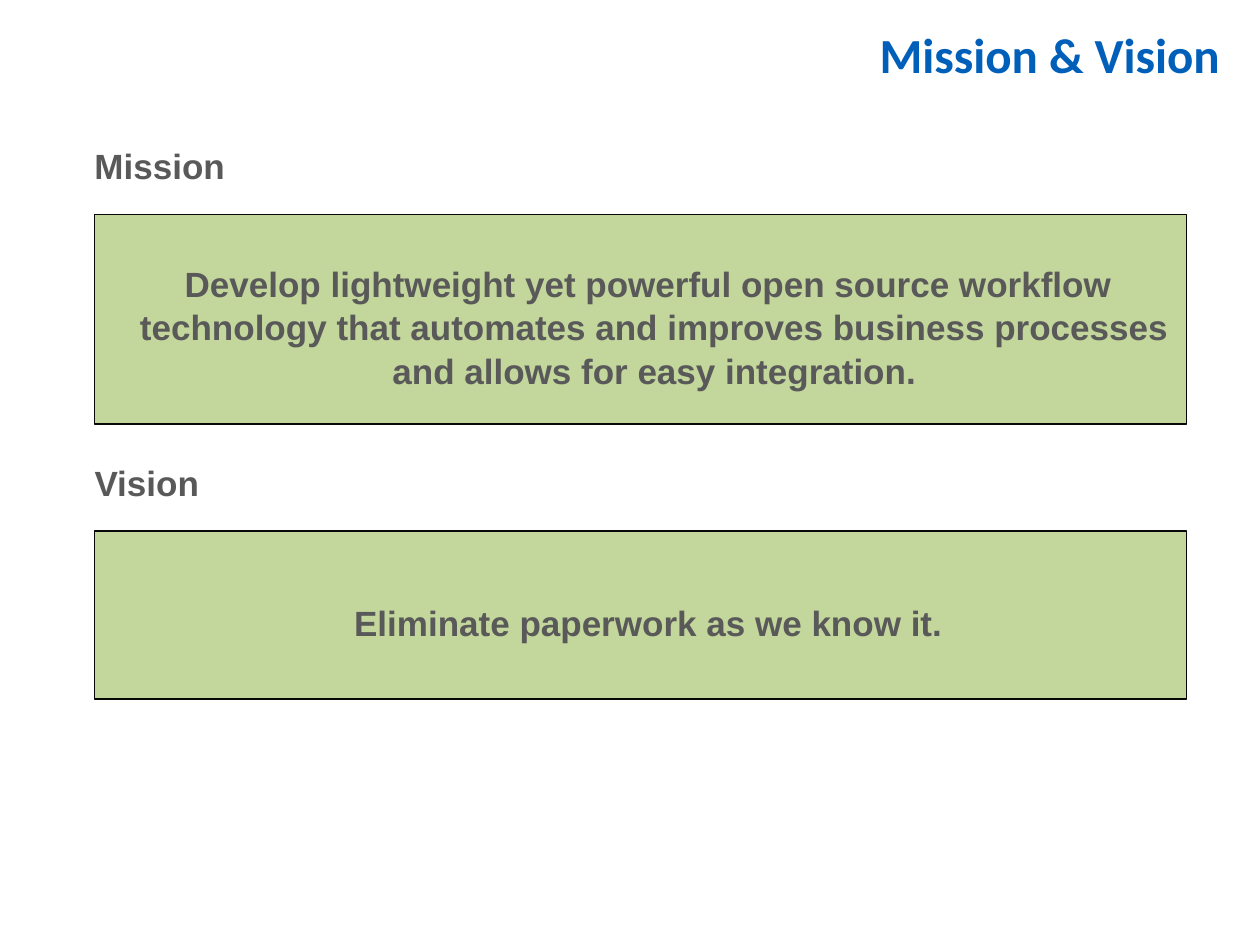
import pptx
import pptx.dml.color
import pptx.enum.shapes
import pptx.enum.text
import pptx.util

Pt = pptx.util.Pt
RGBColor = pptx.dml.color.RGBColor
Align = pptx.enum.text.PP_ALIGN
Anchor = pptx.enum.text.MSO_ANCHOR

BLUE = RGBColor(0x00, 0x5F, 0xB9)
GREY = RGBColor(0x59, 0x59, 0x59)
GREEN = RGBColor(0xC3, 0xD6, 0x9B)
BLACK = RGBColor(0x08, 0x08, 0x08)

LEFT = 54
PANEL_WIDTH = 624
HEADING_HEIGHT = 31.5
HEADING_GAP = 14


class StatementSlide:
    body_font = "Arial"
    body_size = 20

    def __init__(self, slide):
        self.slide = slide

    def add_text(self, shape, text, font, size, color, align, anchor, insets):
        """Fill a shape with one bold paragraph; insets are left, top, right, bottom."""
        frame = shape.text_frame
        frame.word_wrap = True
        frame.vertical_anchor = anchor
        (frame.margin_left, frame.margin_top,
         frame.margin_right, frame.margin_bottom) = map(Pt, insets)
        paragraph = frame.paragraphs[0]
        paragraph.alignment = align
        run = paragraph.add_run()
        run.text = text
        run.font.name = font
        run.font.size = Pt(size)
        run.font.bold = True
        run.font.color.rgb = color
        return paragraph

    def title(self, text):
        box = self.slide.shapes.add_textbox(Pt(318), Pt(6), Pt(386), Pt(49))
        self.add_text(box, text, "Calibri", 28, BLUE, Align.RIGHT, Anchor.MIDDLE,
                      (7.2, 3.6, 7.2, 3.6))

    def heading(self, text, top, width):
        box = self.slide.shapes.add_textbox(Pt(LEFT), Pt(top), Pt(width), Pt(HEADING_HEIGHT))
        paragraph = self.add_text(box, text, self.body_font, self.body_size, GREY,
                                  Align.LEFT, Anchor.BOTTOM, (0, 0, 0, 1.5))
        paragraph.line_spacing = 0.9

    def panel(self, text, top, height):
        panel = self.slide.shapes.add_shape(
            pptx.enum.shapes.MSO_SHAPE.RECTANGLE,
            Pt(LEFT), Pt(top), Pt(PANEL_WIDTH), Pt(height))
        panel.shadow.inherit = False
        panel.fill.solid()
        panel.fill.fore_color.rgb = GREEN
        panel.line.color.rgb = BLACK
        panel.line.width = Pt(1)
        paragraph = self.add_text(panel, text, self.body_font, self.body_size, GREY,
                                  Align.CENTER, Anchor.MIDDLE, (0, 9, 0, 1.5))
        paragraph.line_spacing = 1.04
        indent = paragraph._p.get_or_add_pPr()
        indent.set("marL", str(Pt(16)))
        indent.set("indent", str(Pt(-7)))

    def statement(self, heading, text, top, heading_width, panel_height):
        self.heading(heading, top, heading_width)
        self.panel(text, top + HEADING_HEIGHT + HEADING_GAP, panel_height)


def main():
    deck = pptx.Presentation()
    deck.slide_width, deck.slide_height = Pt(720), Pt(540)
    page = StatementSlide(deck.slides.add_slide(deck.slide_layouts[6]))
    page.title("Mission & Vision")
    page.statement(
        "Mission",
        "Develop lightweight yet powerful open source workflow technology that "
        "automates and improves business processes and allows for easy integration.",
        top=77, heading_width=282, panel_height=120)
    page.statement("Vision", "Eliminate paperwork as we know it.",
                   top=258, heading_width=198, panel_height=96)
    deck.save("out.pptx")


if __name__ == "__main__":
    main()
